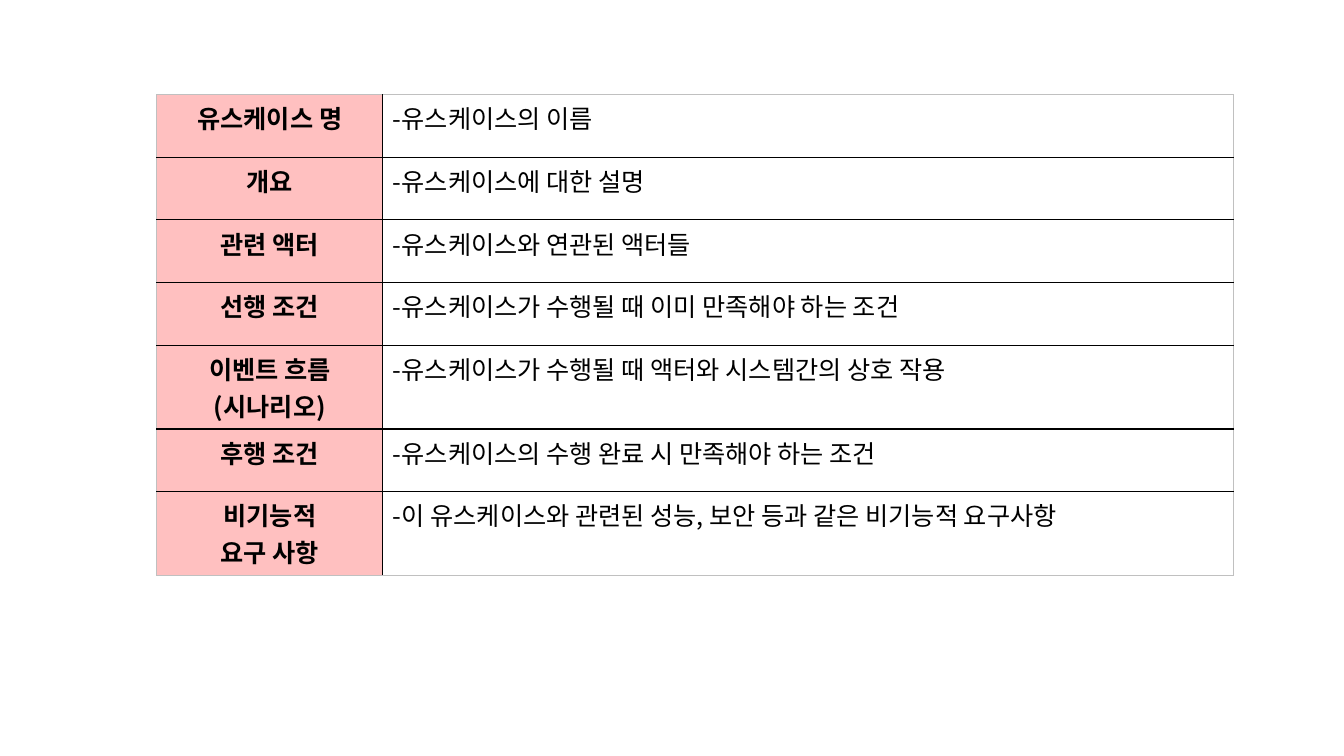
import pptx
import pptx.util
import pptx.dml.color
import pptx.enum.text
import pptx.oxml
import pptx.oxml.ns
from dataclasses import dataclass

Pt = pptx.util.Pt
Color = pptx.dml.color.RGBColor.from_string
qn = pptx.oxml.ns.qn


@dataclass(frozen=True)
class Theme:
    font: str = "Noto Sans CJK KR"
    size: int = 18
    text: str = "000000"
    label_fill: str = "FFC0C0"
    inner_line: tuple = ("000000", 1)
    outer_line: tuple = ("C0C0C0", 0.5)


theme = Theme()

use_case_fields = [
    (["유스케이스 명"], "-유스케이스의 이름"),
    (["개요"], "-유스케이스에 대한 설명"),
    (["관련 액터"], "-유스케이스와 연관된 액터들"),
    (["선행 조건"], "-유스케이스가 수행될 때 이미 만족해야 하는 조건"),
    (["이벤트 흐름", "(시나리오)"], "-유스케이스가 수행될 때 액터와 시스템간의 상호 작용"),
    (["후행 조건"], "-유스케이스의 수행 완료 시 만족해야 하는 조건"),
    (["비기능적", "요구 사항"], "-이 유스케이스와 관련된 성능, 보안 등과 같은 비기능적 요구사항"),
]

left, top = 112, 67.5
column_widths = [161.5, 607.5]
row_heights = {1: 44.8, 2: 59.8}


def write_lines(cell, lines, bold, alignment):
    frame = cell.text_frame
    for index, line in enumerate(lines):
        paragraph = frame.add_paragraph() if index else frame.paragraphs[0]
        paragraph.alignment = alignment
        run = paragraph.add_run()
        run.text = line
        run.font.name = theme.font
        run.font.size = Pt(theme.size)
        run.font.bold = bold
        run.font.color.rgb = Color(theme.text)
        east_asian = pptx.oxml.parse_xml(
            f'<a:ea {pptx.oxml.ns.nsdecls("a")} typeface="{theme.font}"/>')
        run.font._element.find(qn("a:latin")).addnext(east_asian)


def draw_borders(cell, edges):
    properties = cell._tc.get_or_add_tcPr()
    for index, (side, is_outer) in enumerate(edges.items()):
        color, width = theme.outer_line if is_outer else theme.inner_line
        properties.insert(index, pptx.oxml.parse_xml(
            f'<a:ln{side} {pptx.oxml.ns.nsdecls("a")} w="{int(Pt(width))}">'
            f'<a:solidFill><a:srgbClr val="{color}"/></a:solidFill></a:ln{side}>'))


presentation = pptx.Presentation()
presentation.slide_width, presentation.slide_height = Pt(960), Pt(540)
slide = presentation.slides.add_slide(presentation.slide_layouts[6])

heights = [row_heights[len(label)] for label, _ in use_case_fields]
table = slide.shapes.add_table(
    len(heights), len(column_widths), Pt(left), Pt(top),
    Pt(sum(column_widths)), Pt(sum(heights))).table
table.first_row = table.horz_banding = False
for column, width in zip(table.columns, column_widths):
    column.width = Pt(width)

alignments = pptx.enum.text.PP_ALIGN
for row, (label, description) in enumerate(use_case_fields):
    table.rows[row].height = Pt(heights[row])
    label_cell, description_cell = table.cell(row, 0), table.cell(row, 1)
    write_lines(label_cell, label, True, alignments.CENTER)
    write_lines(description_cell, [description], False, alignments.LEFT)
    label_cell.fill.solid()
    label_cell.fill.fore_color.rgb = Color(theme.label_fill)
    description_cell.fill.background()
    for column, cell in enumerate((label_cell, description_cell)):
        cell.margin_left = cell.margin_right = Pt(7.2)
        cell.margin_top = cell.margin_bottom = Pt(3.6)
        draw_borders(cell, {
            "L": column == 0,
            "R": column == len(column_widths) - 1,
            "T": row == 0,
            "B": row == len(heights) - 1,
        })

presentation.save("out.pptx")
